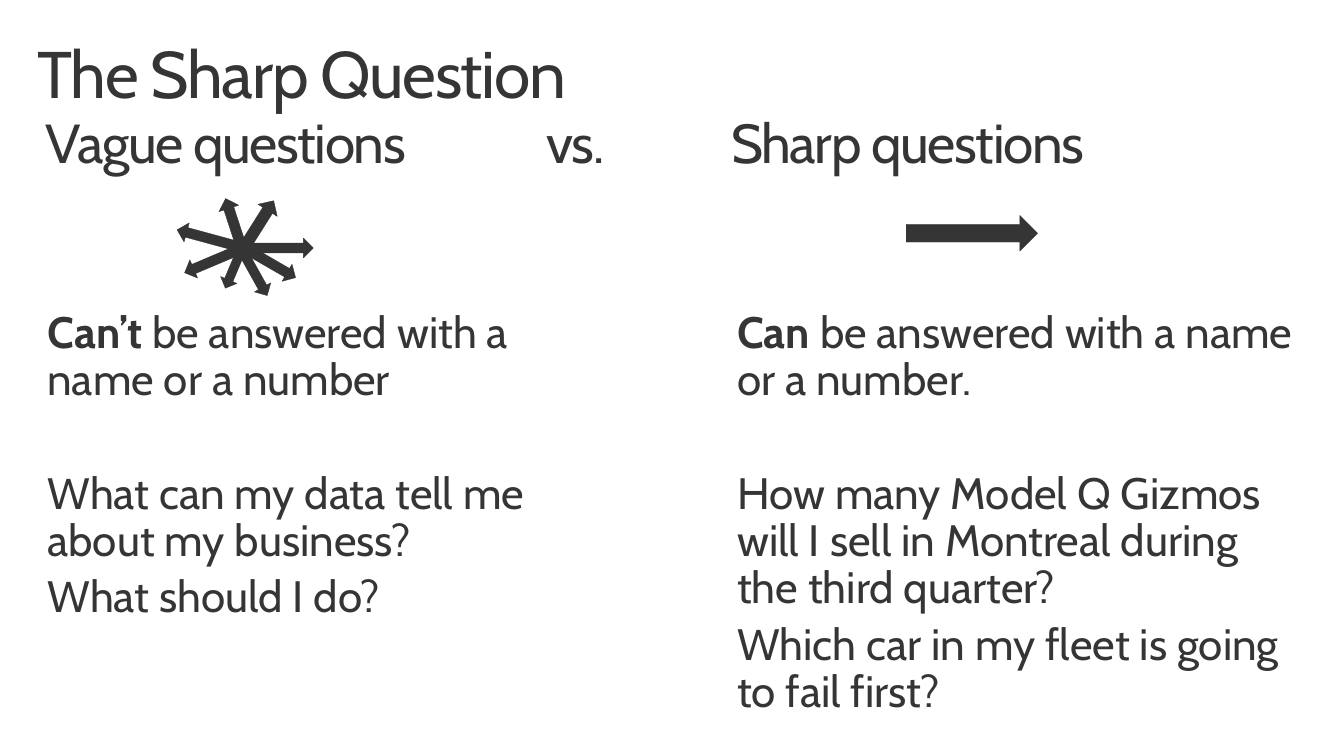
from lxml.etree import SubElement
from pptx import Presentation
from pptx.dml.color import RGBColor
from pptx.enum.shapes import MSO_SHAPE
from pptx.enum.text import MSO_ANCHOR
from pptx.oxml.ns import qn
from pptx.util import Emu, Pt

FONT = "Cabin"
INK = "353535"

# left, top, width, height, rotation
VAGUE_ARROWS = [
    (231, 217, 60, 23, 302.2),
    (245, 241, 72, 20, 0),
    (209, 217, 56, 21, 251.9),
    (178, 232, 72, 20, 195.2),
    (184, 252, 72, 20, 157.1),
    (213, 260, 49, 18, 112.8),
    (225, 263, 61, 19, 60.9),
    (232, 253, 72, 20, 30),
]
VAGUE_POINTS = [
    ("Can’t", " be answered with a name or a number"),
    ("", "What can my data tell me about my business?"),
    ("", "What should I do?"),
]
SHARP_POINTS = [
    ("Can", " be answered with a name or a number."),
    ("", "How many Model Q Gizmos will I sell in Montreal during the third quarter?"),
    ("", "Which car in my fleet is going to fail first?"),
]
POINT_GAPS = [0, 48, 6.4]


def px(length):
    """Convert px to EMU, at 100 px to the inch."""
    return Emu(length * 9144)


def color(hex_string):
    return RGBColor.from_string(hex_string)


def style_span(span, size, bold=False):
    span.font.name = FONT
    span.font.size = Pt(size)
    span.font.bold = bold
    span.font.color.rgb = color(INK)


def add_text_frame(page, box):
    frame = page.shapes.add_textbox(*map(px, box)).text_frame
    frame.word_wrap = True
    frame.vertical_anchor = MSO_ANCHOR.TOP
    frame.margin_left = frame.margin_right = px(16)
    frame.margin_top = frame.margin_bottom = px(10)
    return frame


def add_heading(page, box, text, size, tab_stops=()):
    para = add_text_frame(page, box).paragraphs[0]
    para.text = text
    para.line_spacing = 0.9
    for span in para.runs:
        style_span(span, size)
        span.font._element.set("spc", "-100")
    if tab_stops:
        tab_list = SubElement(para._p.get_or_add_pPr(), qn("a:tabLst"))
        for stop in tab_stops:
            SubElement(tab_list, qn("a:tab"), pos=str(px(stop)), algn="l")


def add_points(page, box, points):
    frame = add_text_frame(page, box)
    frame.text = "\n".join(lead for lead, rest in points)
    for para, (lead, rest), gap in zip(frame.paragraphs, points, POINT_GAPS):
        para.line_spacing = 0.9
        para.space_before = Pt(gap)
        for span in para.runs:
            style_span(span, 32, bold=True)
        span = para.add_run()
        span.text = rest
        style_span(span, 32)


def add_arrow(shapes, box, rotation=0):
    arrow = shapes.add_shape(MSO_SHAPE.RIGHT_ARROW, *map(px, box))
    arrow.rotation = rotation
    arrow.shadow.inherit = False
    arrow.fill.solid()
    arrow.fill.fore_color.rgb = color(INK)
    arrow.line.color.rgb = color(INK)
    arrow.line.width = Pt(0.25)


def add_arrow_burst(page):
    burst = page.shapes.add_group_shape()
    for *box, rotation in VAGUE_ARROWS:
        add_arrow(burst.shapes, box, rotation)


def main():
    deck = Presentation()
    deck.slide_width, deck.slide_height = px(1360), px(765)
    page = deck.slides.add_slide(deck.slide_layouts[6])
    add_heading(page, (22, 32, 1100, 200), "The Sharp Question", 48)
    add_heading(page, (30, 107, 1300, 100),
                "Vague questions\tvs.\tSharp questions", 40, (507, 694))
    add_points(page, (32, 304, 600, 361), VAGUE_POINTS)
    add_points(page, (730, 304, 600, 393), SHARP_POINTS)
    add_arrow(page.shapes, (917, 218, 133, 36))
    add_arrow_burst(page)
    deck.save("out.pptx")


if __name__ == "__main__":
    main()
